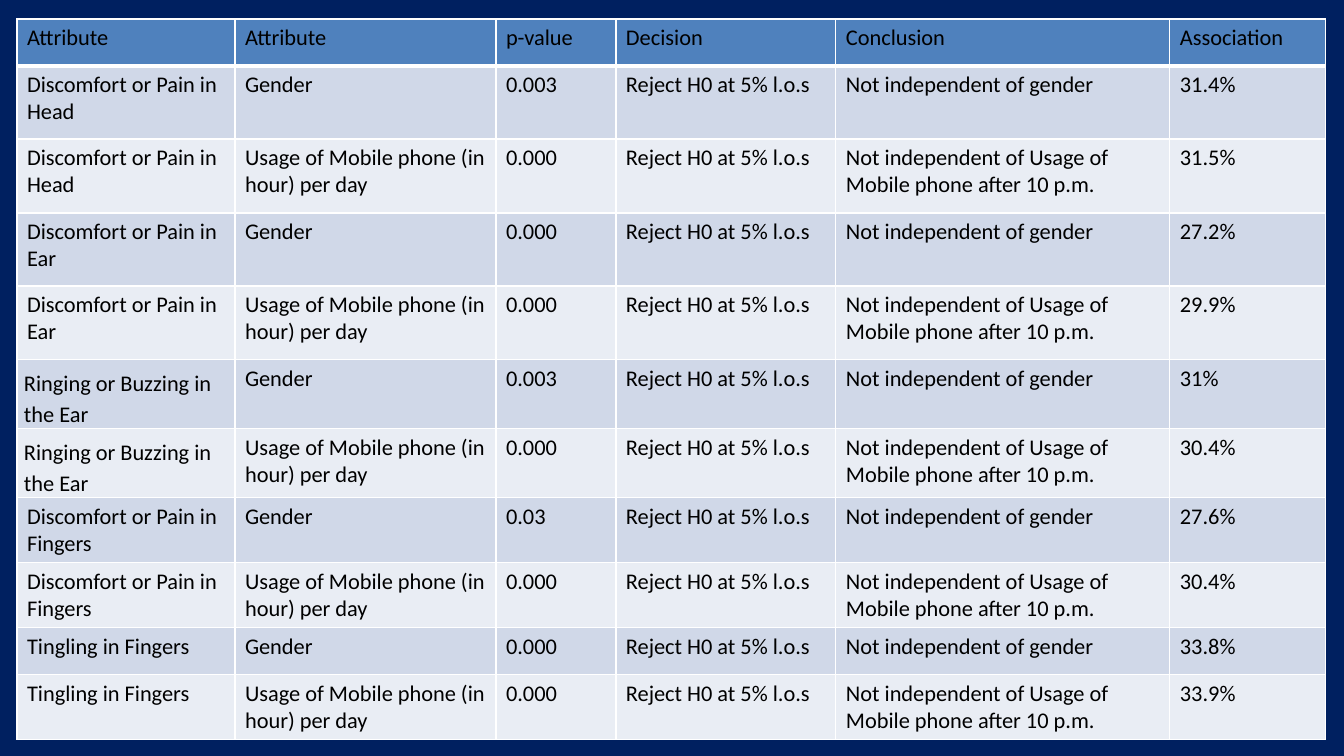
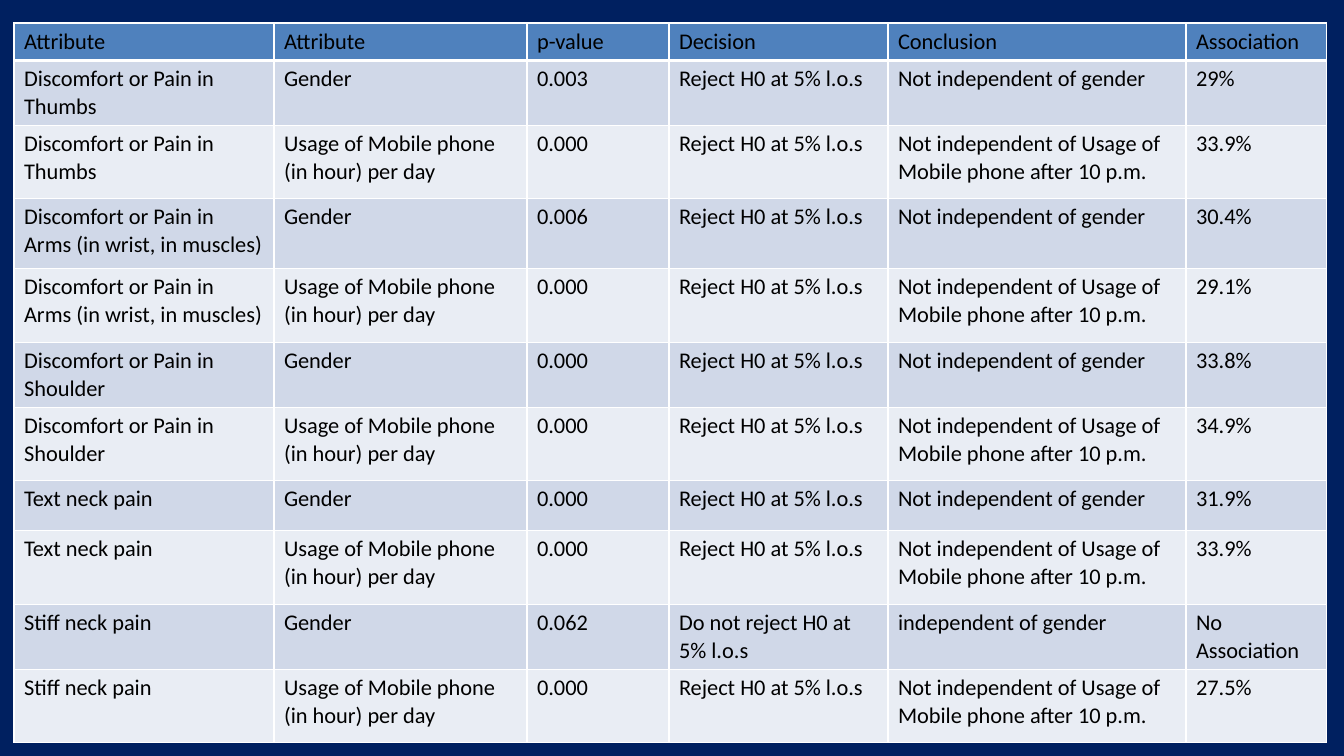
"""Build two slides tabulating tests of association between phone use and discomfort."""
from dataclasses import dataclass

from lxml import etree
from pptx import Presentation
from pptx.dml.color import RGBColor
from pptx.enum.text import MSO_ANCHOR
from pptx.oxml.ns import qn
from pptx.util import Pt

BOTTOM = MSO_ANCHOR.BOTTOM
PX = 914400 / 100.8


@dataclass(frozen=True)
class Theme:
    backdrop: str = "002060"
    header: str = "4F81BD"
    bands: tuple = ("D0D8E8", "E9EDF4")
    border: str = "FFFFFF"
    text: str = "000000"
    font: str = "Calibri"
    size: int = 16
    thin: int = 1
    thick: int = 3


THEME = Theme()
TEXT_FORMAT = {"name": THEME.font, "size": Pt(THEME.size), "bold": False}
HEADINGS = ("Attribute", "Attribute", "p-value", "Decision", "Conclusion", "Association")
REJECT = "Reject H0 at 5% l.o.s"
DEPENDS_ON_GENDER = "Not independent of gender"
USAGE = "Usage of Mobile phone (in hour) per day"
DEPENDS_ON_USAGE = "Not independent of Usage of Mobile phone after 10 p.m."
RINGING = "Ringing or Buzzing in the Ear"
RINGING_FORMAT = {
    "vertical_anchor": BOTTOM,
    "margin_left": px_inset if (px_inset := round(7 * PX)) else 0,
    "margin_right": px_inset,
    "margin_top": 0,
    "margin_bottom": 0,
}

PAGES = [
    {
        "origin": (17, 19),
        "columns": (218, 261, 120, 220, 334, 156),
        "rows": (47, 73, 74, 73, 74, 69, 69, 65, 65, 47, 65),
        "findings": [
            ("Discomfort or Pain in Head", "0.003", "31.4%", "31.5%"),
            ("Discomfort or Pain in Ear", "0.000", "27.2%", "29.9%"),
            (RINGING, "0.003", "31%", "30.4%"),
            ("Discomfort or Pain in Fingers", "0.03", "27.6%", "30.4%"),
            ("Tingling in Fingers", "0.000", "33.8%", "33.9%"),
        ],
    },
    {
        "origin": (14, 23),
        "columns": (260, 253, 142, 219, 298, 141),
        "rows": (37, 65, 73, 70, 74, 65, 73, 50, 74, 65, 73),
        "findings": [
            ("Discomfort or Pain in Thumbs", "0.003", "29%", "33.9%"),
            ("Discomfort or Pain in Arms (in wrist, in muscles)", "0.006", "30.4%", "29.1%"),
            ("Discomfort or Pain in Shoulder", "0.000", "33.8%", "34.9%"),
            ("Text neck pain", "0.000", "31.9%", "33.9%"),
            ("Stiff neck pain", "0.062", "No Association", "27.5%"),
        ],
    },
]


def px(length):
    return round(length * PX)


def style_cell(cell, fill, top, bottom):
    properties = cell._tc.get_or_add_tcPr()
    widths = {"a:lnL": THEME.thin, "a:lnR": THEME.thin, "a:lnT": top, "a:lnB": bottom}
    for tag, width in widths.items():
        line = etree.SubElement(properties, qn(tag), w=str(Pt(width)))
        solid = etree.SubElement(line, qn("a:solidFill"))
        etree.SubElement(solid, qn("a:srgbClr"), val=THEME.border)
    cell.fill.solid()
    cell.fill.fore_color.rgb = RGBColor.from_string(fill)
    font = cell.text_frame.paragraphs[0].runs[0].font
    for attribute, value in TEXT_FORMAT.items():
        setattr(font, attribute, value)
    font.color.rgb = RGBColor.from_string(THEME.text)


presentation = Presentation()
presentation.slide_width, presentation.slide_height = px(1344), px(756)
backdrop = presentation.slide_master.background.fill
backdrop.solid()
backdrop.fore_color.rgb = RGBColor.from_string(THEME.backdrop)

for page in PAGES:
    records = [HEADINGS]
    for symptom, p_value, gender_link, usage_link in page["findings"]:
        if float(p_value) < 0.05:
            verdict = (REJECT, DEPENDS_ON_GENDER)
        else:
            verdict = ("Do not reject H0 at 5% l.o.s", "independent of gender")
        records.append((symptom, "Gender", p_value, *verdict, gender_link))
        records.append((symptom, USAGE, "0.000", REJECT, DEPENDS_ON_USAGE, usage_link))

    slide = presentation.slides.add_slide(presentation.slide_layouts[6])
    left, top = page["origin"]
    results = slide.shapes.add_table(
        len(records), len(HEADINGS), px(left), px(top),
        px(sum(page["columns"])), px(sum(page["rows"])),
    ).table
    for column, width in zip(results.columns, page["columns"]):
        column.width = px(width)
    for row, height in zip(results.rows, page["rows"]):
        row.height = px(height)

    for index, record in enumerate(records):
        fill = THEME.bands[(index - 1) % 2] if index else THEME.header
        above = THEME.thick if index == 1 else THEME.thin
        below = THEME.thick if index == 0 else THEME.thin
        for position, entry in enumerate(record):
            cell = results.cell(index, position)
            cell.text = entry
            style_cell(cell, fill, above, below)
            if entry == RINGING:
                cell.text_frame.paragraphs[0].line_spacing = 1.15
                for attribute, value in RINGING_FORMAT.items():
                    setattr(cell, attribute, value)

presentation.save("out.pptx")
